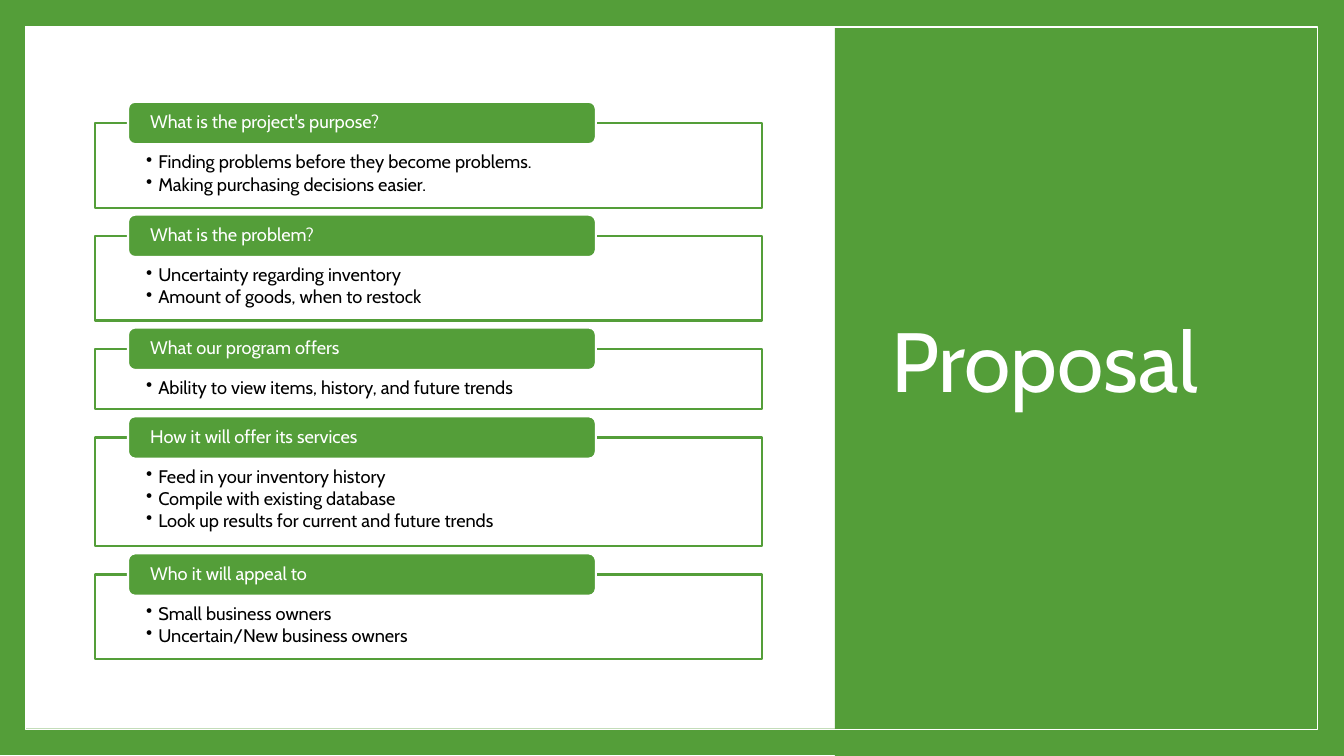
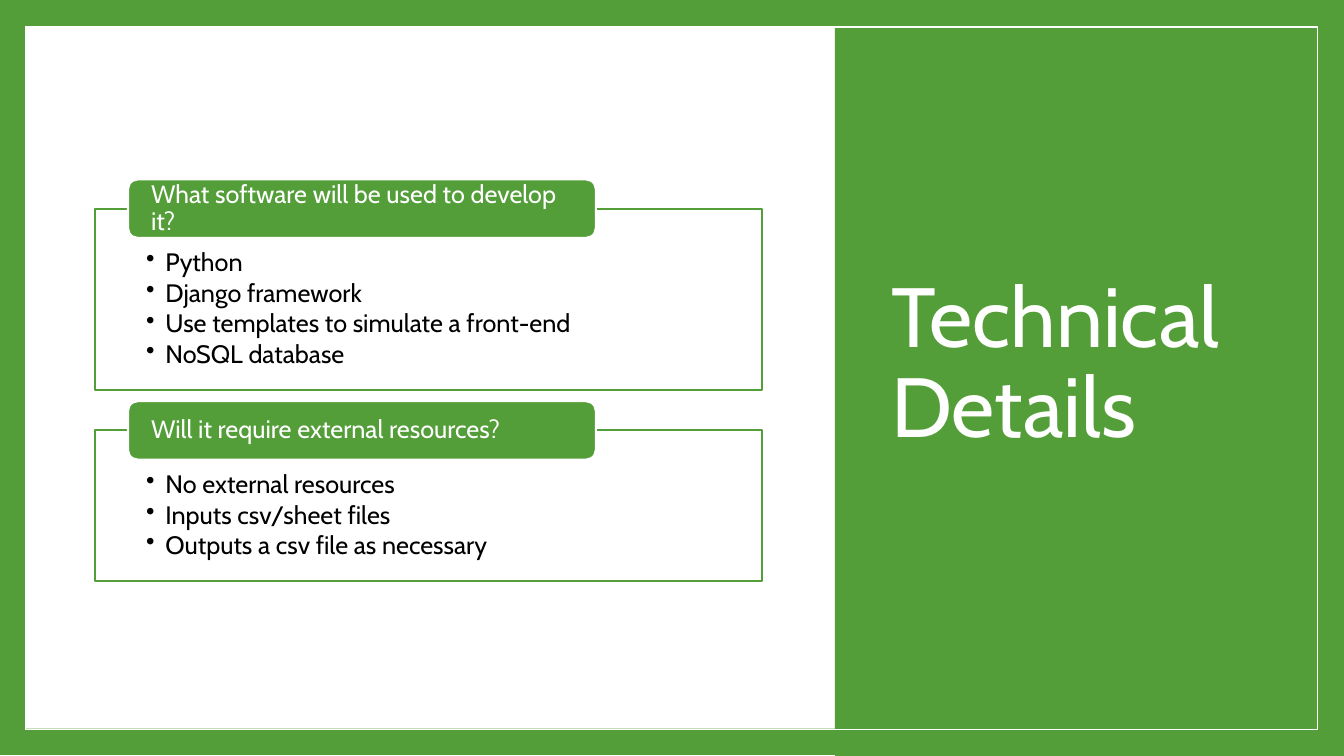
from dataclasses import dataclass

from lxml import etree
from pptx import Presentation
from pptx.dml.color import RGBColor
from pptx.enum.shapes import MSO_SHAPE
from pptx.enum.text import MSO_ANCHOR, PP_ALIGN
from pptx.oxml.ns import qn
from pptx.util import Inches, Pt

RECTANGLE = MSO_SHAPE.RECTANGLE
ROUNDED = MSO_SHAPE.ROUNDED_RECTANGLE
LEFT = PP_ALIGN.LEFT
TOP, MIDDLE = MSO_ANCHOR.TOP, MSO_ANCHOR.MIDDLE


@dataclass(frozen=True)
class Theme:
    green: RGBColor = RGBColor(0x54, 0x9E, 0x39)
    white: RGBColor = RGBColor(0xFF, 0xFF, 0xFF)
    black: RGBColor = RGBColor(0, 0, 0)
    font: str = "Cabin"
    title_size: int = 60
    line_spacing: float = 0.9
    bullet_gap: float = 0.13
    frame_line: float = 1
    card_line: float = 1.5


@dataclass(frozen=True)
class CardStyle:
    size: int
    first_top: float
    gap: float
    base_height: float
    bullet_height: float
    tab_height: float
    indent: float
    inset_top: float
    inset_bottom: float


THEME = Theme()
COMPACT = CardStyle(13, 1.22, 0.28, 0.36, 0.24, 0.42, 0.12, 0.3, 0.1)
LARGE = CardStyle(18, 2.07, 0.4, 0.56, 0.31, 0.58, 0.19, 0.41, 0.14)

CARD_LEFT, CARD_WIDTH, CARD_INSET = 0.94, 6.62, 0.51
TAB_LEFT, TAB_WIDTH, TAB_INSET = 1.27, 4.64, 0.2
TITLE_AREA = (8.74, 0.67, 3.91, 5.91)
BACKDROP = [
    ((0, -0.01, 13.33, 7.5), THEME.green),
    ((0.25, 0.26, 12.82, 6.97), THEME.white),
    ((8.28, 0, 5.06, 7.5), THEME.green),
]
FRAME_AREA = (0.25, 0.27, 12.82, 6.97)

SLIDES = [
    ("Proposal", COMPACT, [
        ("What is the project's purpose?", [
            "Finding problems before they become problems.",
            "Making purchasing decisions easier.",
        ]),
        ("What is the problem?", [
            "Uncertainty regarding inventory",
            "Amount of goods, when to restock",
        ]),
        ("What our program offers", [
            "Ability to view items, history, and future trends",
        ]),
        ("How it will offer its services", [
            "Feed in your inventory history",
            "Compile with existing database",
            "Look up results for current and future trends",
        ]),
        ("Who it will appeal to", [
            "Small business owners",
            "Uncertain/New business owners",
        ]),
    ]),
    ("Technical Details", LARGE, [
        ("What software will be used to develop it?", [
            "Python",
            "Django framework",
            "Use templates to simulate a front-end",
            "NoSQL database",
        ]),
        ("Will it require external resources?", [
            "No external resources",
            "Inputs csv/sheet files",
            "Outputs a csv file as necessary",
        ]),
    ]),
]


def add_box(page, kind, area, fill=None, line=None, width=THEME.card_line):
    box = page.shapes.add_shape(kind, *map(Inches, area))
    box.shadow.inherit = False
    if fill is None:
        box.fill.background()
    else:
        box.fill.solid()
        box.fill.fore_color.rgb = fill
    if line is None:
        box.line.fill.background()
    else:
        box.line.color.rgb = line
        box.line.width = Pt(width)
    return box


def write(box, lines, size, color, anchor, insets=None):
    frame = box.text_frame
    frame.word_wrap = True
    frame.vertical_anchor = anchor
    if insets:
        (frame.margin_left, frame.margin_top,
         frame.margin_right, frame.margin_bottom) = map(Inches, insets)
    frame.text = "\n".join(lines)
    for para in frame.paragraphs:
        para.alignment = LEFT
        para.line_spacing = THEME.line_spacing
        for span in para.runs:
            span.font.name = THEME.font
            span.font.size = Pt(size)
            span.font.color.rgb = color
    return frame.paragraphs


def add_bullet(para, style):
    para.level = 1
    para.space_after = Pt(style.size * THEME.bullet_gap)
    properties = para._p.get_or_add_pPr()
    properties.set("marL", str(Inches(style.indent)))
    properties.set("indent", str(-Inches(style.indent)))
    etree.SubElement(properties, qn("a:buChar")).set("char", "•")


def add_card(page, style, top, height, heading, bullets):
    card = add_box(page, RECTANGLE, (CARD_LEFT, top, CARD_WIDTH, height),
                   THEME.white, THEME.green)
    insets = (CARD_INSET, style.inset_top, CARD_INSET, style.inset_bottom)
    for para in write(card, bullets, style.size, THEME.black, TOP, insets):
        add_bullet(para, style)
    tab_area = (TAB_LEFT, top - style.tab_height / 2, TAB_WIDTH, style.tab_height)
    tab = add_box(page, ROUNDED, tab_area, THEME.green, THEME.white)
    write(tab, [heading], style.size, THEME.white, MIDDLE, (TAB_INSET, 0, TAB_INSET, 0))


def add_page(deck, title_text, style, cards):
    page = deck.slides.add_slide(deck.slide_layouts[5])
    for area, fill in BACKDROP:
        panel = add_box(page, RECTANGLE, area, fill)
    title = page.shapes.title
    title.left, title.top, title.width, title.height = map(Inches, TITLE_AREA)
    write(title, [title_text], THEME.title_size, THEME.white, MIDDLE)
    panel.element.addnext(title.element)
    add_box(page, RECTANGLE, FRAME_AREA, line=THEME.white, width=THEME.frame_line)
    top = style.first_top
    for heading, bullets in cards:
        height = style.base_height + style.bullet_height * len(bullets)
        add_card(page, style, top, height, heading, bullets)
        top += height + style.gap


def main():
    deck = Presentation()
    deck.slide_width, deck.slide_height = Inches(13.33), Inches(7.5)
    for title_text, style, cards in SLIDES:
        add_page(deck, title_text, style, cards)
    deck.save("out.pptx")


if __name__ == "__main__":
    main()
